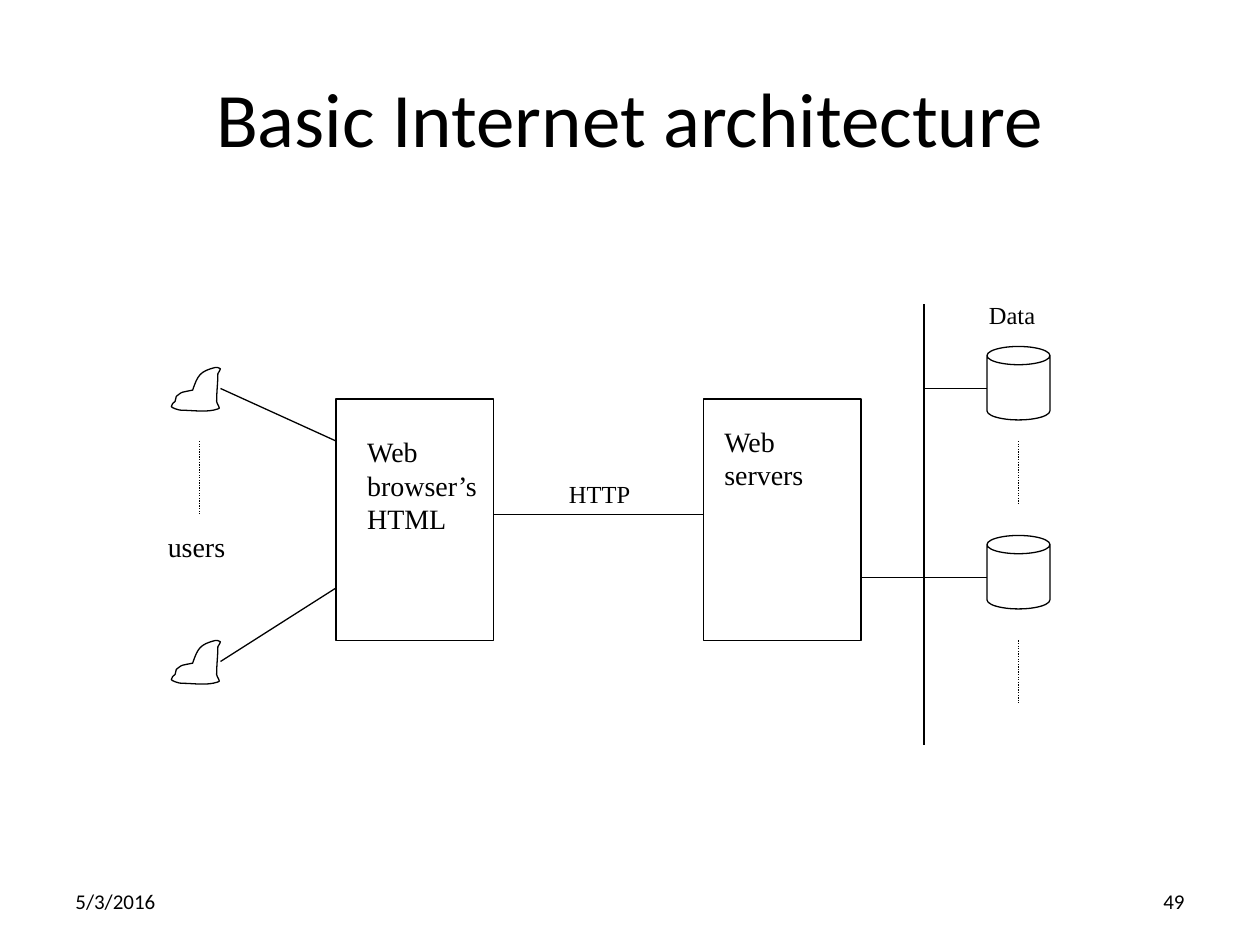
import pptx
import pptx.util
import pptx.dml.color
import pptx.enum.dml
import pptx.enum.shapes
import pptx.enum.text
import pptx.oxml.ns
import lxml.etree

SHAPES = pptx.enum.shapes.MSO_SHAPE
ANCHOR = pptx.enum.text.MSO_ANCHOR
ALIGN = pptx.enum.text.PP_ALIGN
FIT = pptx.enum.text.MSO_AUTO_SIZE
INK = "000000"


def color(code):
    return pptx.dml.color.RGBColor.from_string(code)


def outline(shape):
    shape.shadow.inherit = False
    shape.fill.background()
    shape.line.color.rgb = color(INK)
    shape.line.width = pptx.util.Pt(0.75)


deck = pptx.Presentation()
deck.slide_width = pptx.util.Inches(10)
deck.slide_height = pptx.util.Inches(7.5)
column = deck.slide_width // 120
row = deck.slide_height // 90
slide = deck.slides.add_slide(deck.slide_layouts[5])

heading = slide.shapes.title
heading.left, heading.top = 6 * column, round(3.6 * row)
heading.width, heading.height = 108 * column, 15 * row
heading.text_frame.text = "Basic Internet architecture"
heading.text_frame.vertical_anchor = ANCHOR.MIDDLE
heading_line = heading.text_frame.paragraphs[0]
heading_line.alignment = ALIGN.CENTER
heading_line.font.name = "Calibri"
heading_line.font.size = pptx.util.Pt(44)
heading_line.font.color.rgb = color(INK)

nodes = [
    (SHAPES.RECTANGLE, 32, 38, 15, 23),
    (SHAPES.RECTANGLE, 67, 38, 15, 23),
    (SHAPES.CAN, 94, 33, 6, 7),
    (SHAPES.CAN, 94, 51, 6, 7),
]
for kind, x, y, width, height in nodes:
    node = slide.shapes.add_shape(kind, x * column, y * row, width * column, height * row)
    outline(node)
    if kind == SHAPES.CAN:
        node.adjustments[0] = 0.29

links = [
    (88, 29, 88, 71, False),
    (97, 42, 97, 48, True),
    (97, 61, 97, 67, True),
    (88, 37, 94, 37, False),
    (82, 55, 94, 55, False),
    (47, 49, 67, 49, False),
    (21, 37, 32, 42, False),
    (21, 63, 32, 56, False),
    (19, 42, 19, 49, True),
]
for x1, y1, x2, y2, dotted in links:
    link = slide.shapes.add_connector(
        pptx.enum.shapes.MSO_CONNECTOR.STRAIGHT, x1 * column, y1 * row, x2 * column, y2 * row
    )
    link.line.color.rgb = color(INK)
    link.line.width = pptx.util.Pt(0.75)
    if dotted:
        link.line.dash_style = pptx.enum.dml.MSO_LINE.ROUND_DOT
    lxml.etree.SubElement(link._element.spPr, pptx.oxml.ns.qn("a:effectLst"))

terminal_curve = [
    (1.71, 0), (1.59, 0.03), (1.57, 0.06), (1.53, 0.18),
    (1.52, 0.19), (1.49, 0.18), (1.48, 0.19),
    (1.43, 0.2), (1.44, 0.2), (1.4, 0.23),
    (1.4, 0.24), (1.39, 0.26), (1.39, 0.27),
    (1.38, 0.28), (1.36, 0.29), (1.36, 0.31),
    (1.36, 0.32), (1.42, 0.34), (1.44, 0.34),
    (1.54, 0.34), (1.64, 0.36), (1.73, 0.33),
    (1.76, 0.33), (1.72, 0.29), (1.72, 0.27),
    (1.72, 0.19), (1.73, 0.12), (1.73, 0.05),
    (1.74, 0.03), (1.75, 0.02), (1.75, 0.01),
    (1.74, 0), (1.72, 0), (1.71, 0),
]
for top in (35, 61):
    points = [(pptx.util.Inches(x), top * row + pptx.util.Inches(y)) for x, y in terminal_curve]
    builder = slide.shapes.build_freeform(*points[0])
    builder.add_line_segments(points[1:], close=True)
    terminal = builder.convert_to_shape()
    outline(terminal)
    segments = list(terminal._element.iter(pptx.oxml.ns.qn("a:lnTo")))
    for start in range(0, len(terminal_curve) - 1, 3):
        triple = segments[start:start + 3]
        bend = lxml.etree.Element(pptx.oxml.ns.qn("a:cubicBezTo"))
        triple[0].addprevious(bend)
        for segment in triple:
            bend.append(segment[0])
            segment.getparent().remove(segment)

labels = [
    ("Web\nbrowser’s\nHTML", 33.8, 40.8, 13, 10.8, 16),
    ("Web\nservers", 67.8, 39.8, 10, 7.7, 16),
    ("HTTP", 53, 45, 8.3, 4, 14),
    ("Data", 93, 28, 6.8, 4, 14),
    ("users", 14.8, 49.8, 7.9, 4.4, 16),
    ("5/3/2016", 6, 83.4, 28, 4.8, 12),
    ("49", 86, 83.4, 28, 4.8, 12),
]
for words, x, y, width, height, size in labels:
    label = slide.shapes.add_textbox(
        round(x * column), round(y * row), round(width * column), round(height * row)
    )
    footer = size == 12
    frame = label.text_frame
    frame.text = words
    frame.word_wrap = footer
    frame.auto_size = FIT.NONE if footer else FIT.SHAPE_TO_FIT_TEXT
    frame.vertical_anchor = ANCHOR.MIDDLE if footer else ANCHOR.TOP
    for paragraph in frame.paragraphs:
        paragraph.alignment = ALIGN.RIGHT if words == "49" else ALIGN.LEFT
        paragraph.font.name = "Calibri" if footer else "Times New Roman"
        paragraph.font.size = pptx.util.Pt(size)
        paragraph.font.color.rgb = color(INK)

deck.save("out.pptx")
